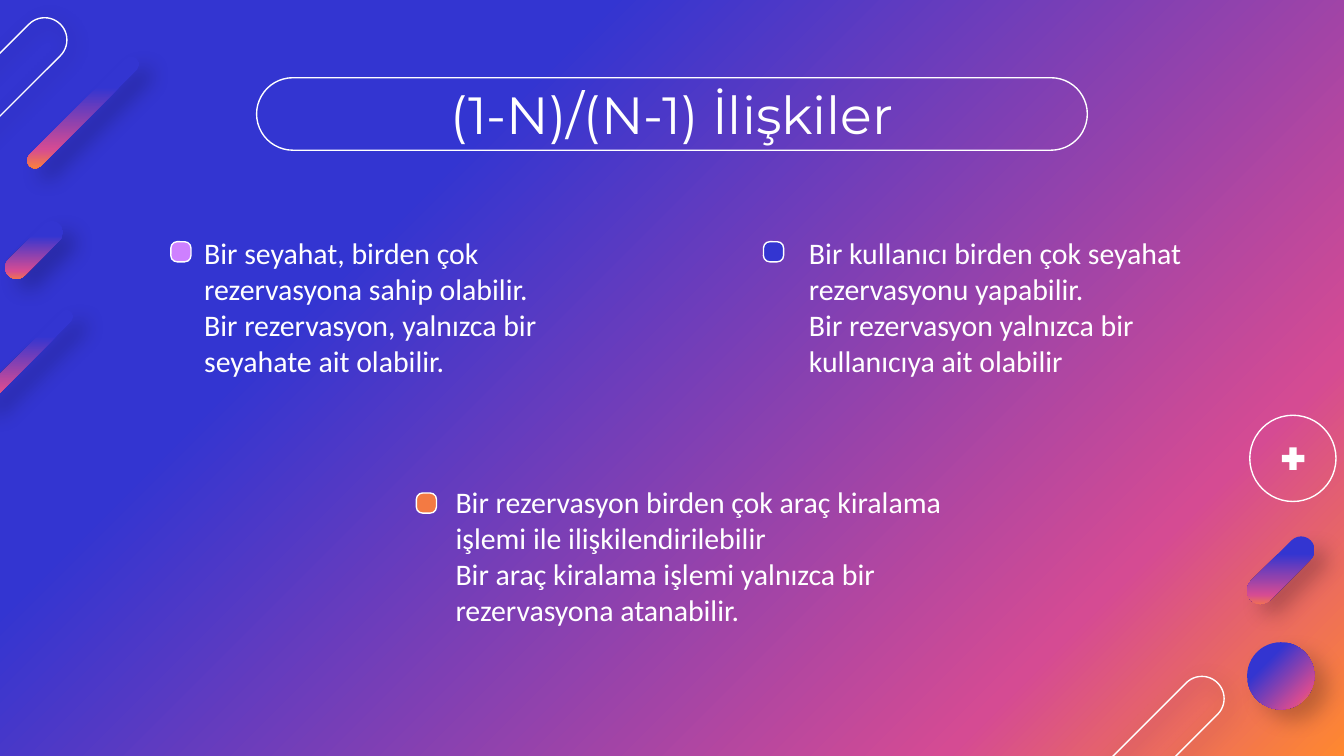
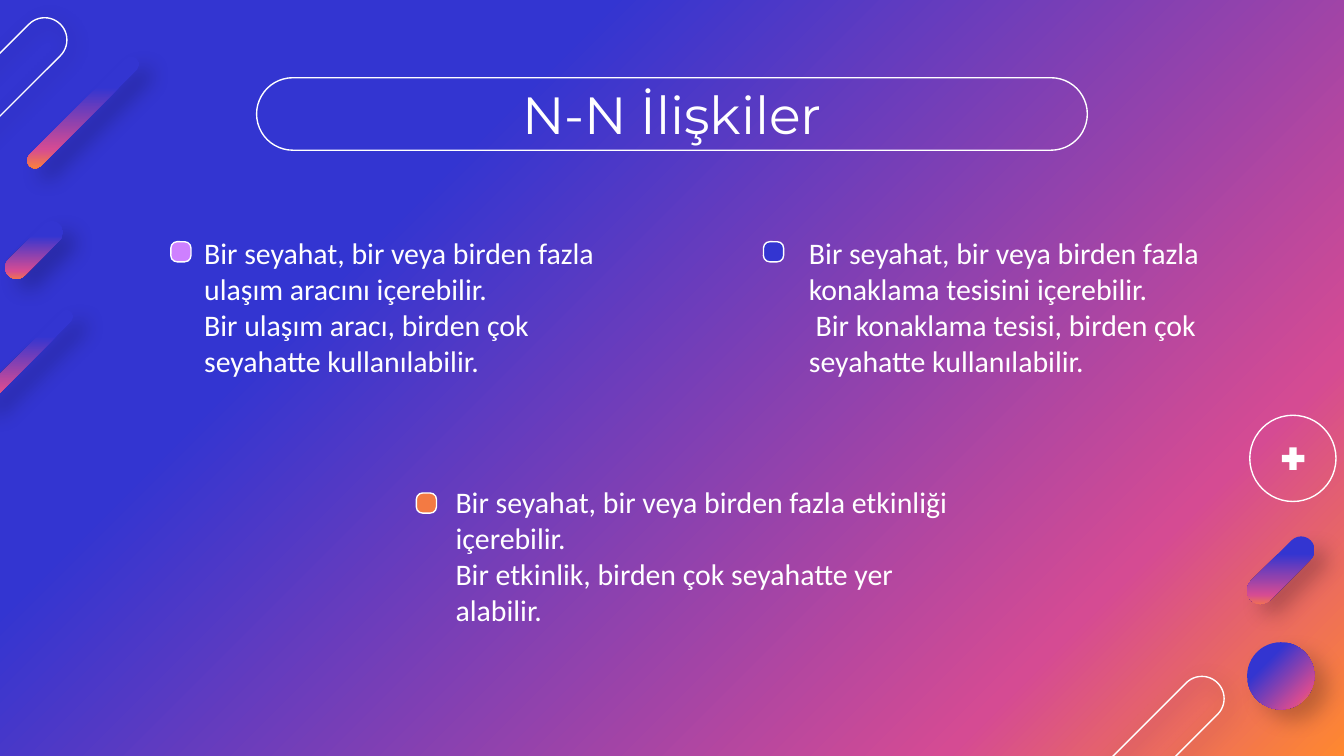
from pptx import Presentation
from pptx.dml.color import RGBColor
from pptx.enum.shapes import MSO_SHAPE as Kind
from pptx.enum.text import MSO_ANCHOR as Anchor, PP_ALIGN as Align
from pptx.oxml.ns import qn
from pptx.util import Cm, Pt
from lxml.etree import SubElement as Sub

# Shared look
WHITE, BLUE, LILAC, ORANGE = "FFFFFF", "3335D1", "CE80FF", "F37A43"
STOPS = [(0, BLUE), (29, BLUE), (81, "D54B93"), (100, "FF882F")]
SOFT = (22, 11.25, 9, 40)  # shadow: alpha %, blur pt, distance pt, angle
FAINT = (40, 11.25, 3.75, 40)
PILL, DISC = Kind.ROUNDED_RECTANGLE, Kind.OVAL
hue = RGBColor.from_string


def draw(slide, kind, box, fill=None, line=None, adj=None, turn=0, shade=None):
    part = slide.shapes.add_shape(kind, *map(Cm, box))
    part.rotation = turn
    if adj is not None:
        part.adjustments[0] = adj
    if fill == "grad":
        part.fill.gradient()
    elif fill:
        part.fill.solid()
        part.fill.fore_color.rgb = hue(fill)
    else:
        part.fill.background()
    if line:
        part.line.color.rgb = hue(line)
        part.line.width = Pt(0.75)
    else:
        part.line.fill.background()
    part.shadow.inherit = False
    if shade:
        alpha, blur, dist, angle = shade
        glow = Sub(part._element.spPr.find(qn("a:effectLst")), qn("a:outerShdw"),
                   blurRad=str(Pt(blur)), dist=str(Pt(dist)), dir=str(angle * 60000),
                   algn="bl", rotWithShape="0")
        tone = Sub(glow, qn("a:srgbClr"), val="000000")
        Sub(tone, qn("a:alpha"), val=str(alpha * 1000))


def write(slide, box, lines, font, size, align=Align.LEFT):
    frame = slide.shapes.add_textbox(*map(Cm, box)).text_frame
    frame.word_wrap = True
    frame.vertical_anchor = Anchor.MIDDLE
    frame.margin_left = frame.margin_right = Cm(0.25)
    frame.margin_top = frame.margin_bottom = Cm(0.25)
    for i, line in enumerate(lines):
        para = frame.paragraphs[0] if i == 0 else frame.add_paragraph()
        para.alignment = align
        run = para.add_run()
        run.text = line
        run.font.name, run.font.size = font, Pt(size)
        run.font.color.rgb = hue(WHITE)


# Tilted pills: box, fill, line, shadow
pills = [
    ((21.29, 12.37, 0.84, 3.68), None, WHITE, FAINT),
    ((23.95, 9.98, 0.51, 1.6), "grad", None, SOFT),
    ((0.43, 4.04, 0.43, 1.37), "grad", None, SOFT),
    ((0.36, 5.54, 0.25, 2.44), "grad", None, SOFT),
    ((-0.58, -0.08, 0.84, 3.68), None, WHITE, FAINT),
    ((1.42, 0.69, 0.3, 2.87), "grad", None, SOFT),
]

# Bullet marks and text corners, one per note
marks = [(3.23, 4.57, LILAC), (14.43, 4.57, BLUE), (7.87, 9.32, ORANGE)]
spots = [(3.61, 5.23), (15.04, 5.23), (8.36, 9.93)]

# Title, then each note with its width
pages = [
    ("(1-N)/(N-1) İlişkiler", [
        (8.76, ["Bir seyahat, birden çok rezervasyona sahip olabilir.",
                "Bir rezervasyon, yalnızca bir seyahate ait olabilir."]),
        (8.76, ["Bir kullanıcı birden çok seyahat rezervasyonu yapabilir.",
                "Bir rezervasyon yalnızca bir kullanıcıya ait olabilir"]),
        (9.75, ["Bir rezervasyon birden çok araç kiralama işlemi ile ilişkilendirilebilir",
                "Bir araç kiralama işlemi yalnızca bir rezervasyona atanabilir."]),
    ]),
    ("N-N İlişkiler", [
        (8.76, ["Bir seyahat, bir veya birden fazla ulaşım aracını içerebilir.",
                "Bir ulaşım aracı, birden çok seyahatte kullanılabilir."]),
        (9.19, ["Bir seyahat, bir veya birden fazla konaklama tesisini içerebilir.",
                " Bir konaklama tesisi, birden çok seyahatte kullanılabilir."]),
        (10.13, ["Bir seyahat, bir veya birden fazla etkinliği içerebilir.",
                 "Bir etkinlik, birden çok seyahatte yer alabilir."]),
    ]),
]

deck = Presentation()
deck.slide_width, deck.slide_height = Cm(25.4), Cm(14.29)

for title, notes in pages:
    slide = deck.slides.add_slide(deck.slide_layouts[6])
    slide.background.fill.gradient()

    # Edge decoration
    for box, fill, line, shade in pills:
        draw(slide, PILL, box, fill, line, 0.5, 45, shade)
    draw(slide, DISC, (23.57, 12.14, 1.27, 1.27), "grad", shade=SOFT)
    draw(slide, DISC, (23.62, 7.85, 1.63, 1.63), line=WHITE)
    draw(slide, Kind.MATH_PLUS, (24.15, 8.38, 0.58, 0.58), WHITE, adj=0.235)

    # Title in its frame
    draw(slide, PILL, (4.85, 1.47, 15.7, 1.37), line=WHITE, adj=0.5)
    write(slide, (1.98, 1.52, 21.44, 1.27), [title], "Montserrat", 28, Align.CENTER)

    # Notes with their marks
    for (x, y, tint), (left, top), (width, lines) in zip(marks, spots, notes):
        draw(slide, PILL, (x, y, 0.38, 0.38), tint, WHITE, 0.312)
        write(slide, (left, top, width, 1.14), lines, "Calibri", 16)

    # One gradient for the background and the shapes
    for grad in slide._element.iter(qn("a:gradFill")):
        grad.find(qn("a:lin")).set("ang", str(45 * 60000))
        ramp = grad.find(qn("a:gsLst"))
        for old in list(ramp):
            ramp.remove(old)
        for pos, tint in STOPS:
            stop = Sub(ramp, qn("a:gs"), pos=str(pos * 1000))
            Sub(stop, qn("a:srgbClr"), val=tint)

deck.save("out.pptx")
